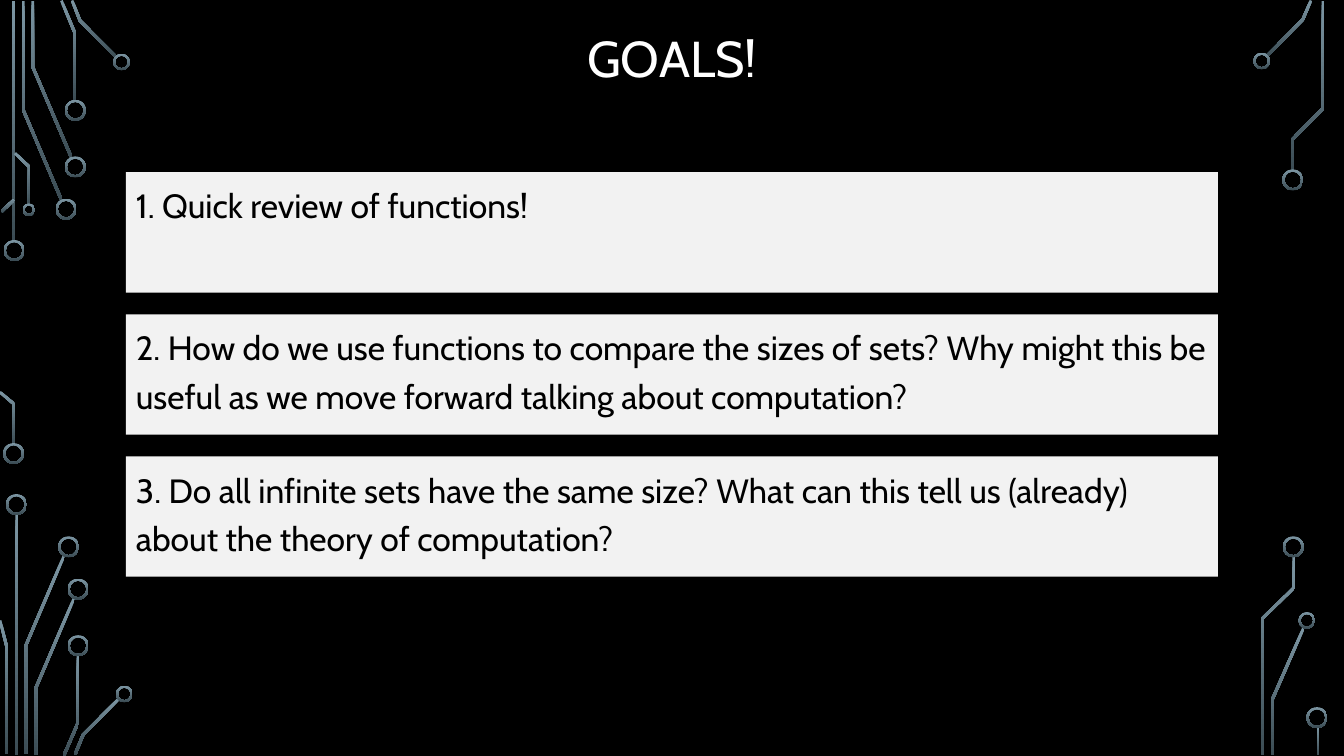
import math
from dataclasses import dataclass

import pptx
import pptx.dml.color
import pptx.enum.shapes
import pptx.enum.text
import pptx.util

Pt = pptx.util.Pt
RGB = pptx.dml.color.RGBColor.from_string
SHAPE = pptx.enum.shapes.MSO_SHAPE
ALIGN = pptx.enum.text.PP_ALIGN
ANCHOR = pptx.enum.text.MSO_ANCHOR


@dataclass(frozen=True)
class Theme:
    back: str = "000000"
    panel: str = "F2F2F2"
    light: str = "FFFFFF"
    dark: str = "000000"
    glow: tuple = ("7C96A3", "3B4C54")
    font: str = "Cabin"
    head: int = 36
    body: int = 24
    wire: float = 2
    rim: float = 1.5


THEME = Theme()

GOALS = [
    "1. Quick review of functions!",
    "2. How do we use functions to compare the sizes of sets? Why might this be"
    " useful as we move forward talking about computation?",
    "3. Do all infinite sets have the same size? What can this tell us (already)"
    " about the theory of computation?",
]

# Centre lines of the circuit wires, in points
WIRES = [
    # top left
    [(9.7, 0.7), (9.7, 172.1)],
    [(16.6, 0.7), (16.6, 78.5), (43.9, 142.9)],
    [(23.4, 0.7), (23.4, 47.8), (51.1, 112.7)],
    [(43.9, 0.4), (53.6, 23.8), (53.6, 72)],
    [(51.5, 0.4), (57.2, 14.8), (83.2, 41)],
    [(1.1, 151.2), (10.1, 142.6)],
    [(10.8, 109.4), (20.9, 119.2), (20.9, 146.2)],
    [(0, 280.1), (10.1, 288.7), (10.1, 317.5)],
    # bottom left
    [(11.9, 367.2), (11.9, 539.3)],
    [(18.4, 538.6), (18.4, 461.2), (45.7, 397.1)],
    [(0, 443.2), (4.7, 461.5), (4.7, 538.6)],
    [(25.6, 539.3), (25.6, 491.4), (52.9, 427.3)],
    [(55.8, 468), (55.8, 516.2), (45.7, 539.6)],
    [(53.6, 538.9), (59.4, 524.9), (85, 499)],
    # top right
    [(905, 40), (930.6, 14), (936.4, 0.4)],
    [(923, 121.7), (923, 99.7), (945, 77.4), (945, 0.7)],
    # bottom right
    [(909, 539.3), (909, 499.3), (931, 448.9)],
    [(924.1, 397.4), (924.1, 420.1), (901.8, 441.7), (901.8, 539.3)],
    [(941.4, 519.1), (941.4, 539.3)],
]

# Ring centres by diameter, in points
RINGS = {
    15: [(10.1, 178.9), (9.7, 324), (47.2, 149.4), (53.8, 119.2),
         (53.8, 78.8), (11.7, 360.4), (49, 390.6), (55.8, 420.8),
         (55.8, 461.2), (923.4, 128.5), (923.8, 390.6), (940.7, 512.6)],
    12: [(86.8, 44.3), (88.8, 495.7), (901.2, 43.6), (933.5, 443.2)],
    9: [(20.6, 149.8)],
}


def glow(shape):
    """Give a circuit part its vertical gradient, without line or shadow."""
    shape.shadow.inherit = False
    shape.line.fill.background()
    shape.fill.gradient()
    shape.fill.gradient_angle = 270
    for stop, color in zip(shape.fill.gradient_stops, THEME.glow):
        stop.color.rgb = RGB(color)


def offset(line, gap):
    """Return the line moved sideways by gap, with mitred corners."""
    norms = []
    for (x1, y1), (x2, y2) in zip(line, line[1:]):
        size = math.hypot(x2 - x1, y2 - y1)
        norms.append(((y1 - y2) / size, (x2 - x1) / size))
    side = []
    for (x, y), a, b in zip(line, norms[:1] + norms, norms + norms[-1:]):
        scale = gap / (1 + a[0] * b[0] + a[1] * b[1])
        side.append((x + scale * (a[0] + b[0]), y + scale * (a[1] + b[1])))
    return side


def add_wire(slide, line):
    half = THEME.wire / 2
    edge = offset(line, half) + offset(line, -half)[::-1]
    start, *rest = [(Pt(x), Pt(y)) for x, y in edge]
    pen = slide.shapes.build_freeform(*start)
    pen.add_line_segments(rest, close=True)
    glow(pen.convert_to_shape())


def add_ring(slide, x, y, size):
    ring = slide.shapes.add_shape(
        SHAPE.DONUT, Pt(x - size / 2), Pt(y - size / 2), Pt(size), Pt(size))
    ring.adjustments[0] = THEME.rim / size
    glow(ring)


def set_text(shape, text, size, color, align, anchor):
    frame = shape.text_frame
    frame.word_wrap = True
    frame.vertical_anchor = anchor
    frame.text = text
    para = frame.paragraphs[0]
    para.alignment = align
    font = para.runs[0].font
    font.name = THEME.font
    font.size = Pt(size)
    font.color.rgb = RGB(color)
    return para


def add_title(slide, text):
    box = slide.shapes.add_textbox(Pt(90), Pt(10), Pt(780), Pt(68))
    para = set_text(box, text, THEME.head, THEME.light, ALIGN.CENTER,
                    ANCHOR.MIDDLE)
    para.line_spacing = 0.9


def add_goal(slide, text, top):
    panel = slide.shapes.add_shape(
        SHAPE.RECTANGLE, Pt(90), Pt(top), Pt(780), Pt(86))
    panel.shadow.inherit = False
    panel.fill.solid()
    panel.fill.fore_color.rgb = RGB(THEME.panel)
    panel.line.fill.background()
    para = set_text(panel, text, THEME.body, THEME.dark, ALIGN.LEFT,
                    ANCHOR.TOP)
    para.line_spacing = 1.2
    para.space_before = Pt(10)


def main():
    deck = pptx.Presentation()
    deck.slide_width, deck.slide_height = Pt(960), Pt(540)
    slide = deck.slides.add_slide(deck.slide_layouts[6])
    slide.background.fill.solid()
    slide.background.fill.fore_color.rgb = RGB(THEME.back)
    for line in WIRES:
        add_wire(slide, line)
    for size, spots in RINGS.items():
        for x, y in spots:
            add_ring(slide, x, y, size)
    add_title(slide, "GOALS!")
    for row, goal in enumerate(GOALS):
        add_goal(slide, goal, 123 + 101.5 * row)
    deck.save("out.pptx")


if __name__ == "__main__":
    main()
